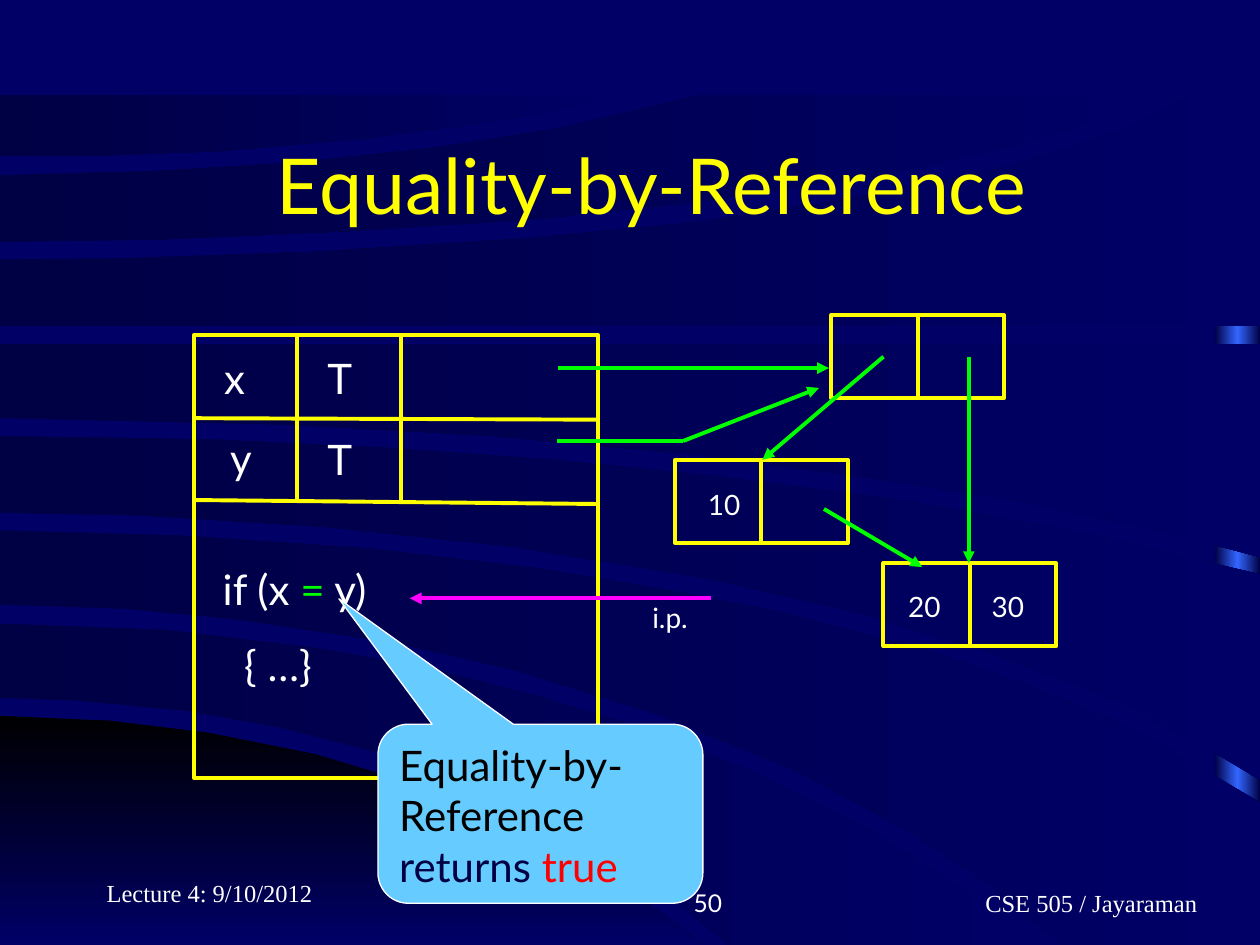
from copy import deepcopy
from dataclasses import dataclass

from lxml import etree
from pptx import Presentation
from pptx.dml.color import RGBColor
from pptx.enum.shapes import MSO_CONNECTOR, MSO_SHAPE
from pptx.enum.text import MSO_ANCHOR, PP_ALIGN
from pptx.oxml.ns import qn
from pptx.util import Cm, Pt

RECT, CALLOUT = MSO_SHAPE.RECTANGLE, MSO_SHAPE.ROUNDED_RECTANGULAR_CALLOUT
STRAIGHT = MSO_CONNECTOR.STRAIGHT
TOP, MIDDLE, BOTTOM = MSO_ANCHOR.TOP, MSO_ANCHOR.MIDDLE, MSO_ANCHOR.BOTTOM
LEFT, CENTER, RIGHT = PP_ALIGN.LEFT, PP_ALIGN.CENTER, PP_ALIGN.RIGHT


@dataclass(frozen=True)
class Theme:
    navy: str = "000066"
    dark: str = "000044"
    black: str = "000000"
    blue: str = "3366FF"
    sky: str = "66CCFF"
    white: str = "FFFFFF"
    yellow: str = "FFFF00"
    green: str = "00FF00"
    magenta: str = "FF00FF"
    red: str = "FF0000"
    sans: str = "Lato"
    serif: str = "Times New Roman"
    title: int = 44
    body: int = 24
    label: int = 16
    footer: int = 14
    stroke: float = 2.25


T = Theme()
rgb = RGBColor.from_string

prs = Presentation()
prs.slide_width, prs.slide_height = Cm(25.4), Cm(19.05)
s = prs.slides.add_slide(prs.slide_layouts[6])
s.background.fill.solid()
s.background.fill.fore_color.rgb = rgb(T.navy)


def write(sp, paras, size, font=T.sans, align=LEFT, anchor=TOP, before=0):
    """Fill a shape with paragraphs, each a list of (text, colour) runs."""
    tf = sp.text_frame
    tf.word_wrap = True
    tf.vertical_anchor = anchor
    for i, runs in enumerate(paras):
        p = tf.add_paragraph() if i else tf.paragraphs[0]
        p.alignment = align
        p.space_before = Pt(before if i else 0)
        for text, color in runs:
            r = p.add_run()
            r.text = text
            r.font.size, r.font.name = Pt(size), font
            r.font.color.rgb = rgb(color)


def add_line(x1, y1, x2, y2, color=T.yellow, arrow=False):
    c = s.shapes.add_connector(STRAIGHT, Cm(x1), Cm(y1), Cm(x2), Cm(y2))
    c.line.color.rgb = rgb(color)
    c.line.width = Pt(T.stroke)
    if arrow:
        etree.SubElement(c.line._get_or_add_ln(), qn("a:tailEnd"), type="triangle")
    etree.SubElement(c._element.spPr, qn("a:effectLst"))


# Background: bright strip at the right edge, dark hill, sweeping bands
strip = [(24.49, 1.96), (25.4, 1.96), (25.4, 19.05), (24.49, 19.05)]
hill = [(0, 14.43), (2.21, 14.53), (4.22, 14.78), (6.35, 15.21), (8.33, 15.8),
        (9.83, 16.38), (11.76, 17.35), (13.44, 18.49), (14.15, 19.05), (0, 19.05)]
bands = [
    [(0, 12.57), (3.33, 12.7), (6.35, 13.06), (8.53, 13.44), (10.9, 14.05),
     (13.11, 14.73), (15.42, 15.67), (17.5, 16.71), (19.48, 17.96), (20.85, 19.05),
     (14.68, 19.05), (13.31, 17.91), (11.56, 16.79), (9.58, 15.85), (7.8, 15.21),
     (5.64, 14.66), (3.78, 14.33), (1.52, 14.12), (0, 14.07)],
    [(0, 10.69), (3.68, 10.8), (7.37, 11.05), (10.85, 11.46), (13.26, 11.86),
     (15.75, 12.34), (18.77, 13.13), (20.8, 13.84), (22.99, 14.76), (25.4, 16.18),
     (25.4, 19.05), (21.41, 19.05), (19.84, 17.75), (18.31, 16.76), (16.18, 15.6),
     (13.26, 14.4), (10.31, 13.49), (7.92, 12.95), (4.67, 12.47), (2.49, 12.27),
     (0, 12.19)],
    [(0, 8.79), (4.29, 8.86), (7.67, 9.02), (11.15, 9.27), (14.4, 9.6),
     (18.16, 10.08), (21.84, 10.74), (25.4, 11.58), (25.4, 15.72), (24.18, 14.99),
     (22.4, 14.07), (19.89, 13.13), (17.37, 12.37), (14.25, 11.66), (10.34, 11.02),
     (6.5, 10.62), (2.79, 10.39), (0, 10.34)],
    [(0, 6.93), (25.4, 6.93), (25.4, 11.23), (23.27, 10.67), (20.68, 10.13),
     (17.86, 9.68), (14.05, 9.17), (9.91, 8.79), (5.82, 8.56), (0, 8.43)],
    [(0, 5.23), (0, 6.58), (25.4, 6.58), (25.4, 1.91), (23.98, 1.91),
     (22.68, 2.62), (20.42, 3.33), (17.4, 3.96), (14.1, 4.47), (10.69, 4.8),
     (6.22, 5.08), (2.39, 5.21)],
    [(0, 3.53), (0, 4.88), (3.23, 4.83), (6.88, 4.67), (10.82, 4.42),
     (13.87, 4.09), (17.37, 3.61), (20.4, 2.95), (22.45, 2.31), (23.32, 1.91),
     (14.15, 1.91), (11.33, 2.57), (8.84, 2.97), (5.94, 3.28), (3.1, 3.45)],
    [(0, 1.91), (0, 3.15), (1.73, 3.15), (4.42, 3.05), (7.37, 2.79),
     (10.19, 2.41), (12.75, 1.91)],
]
backdrop = [(strip, (T.dark, T.blue, T.dark), 0), (hill, (T.black, T.navy), 270)]
backdrop += [(band, (T.dark, T.navy), 0) for band in bands]
for points, colors, angle in backdrop:
    pts = [(Cm(x), Cm(y)) for x, y in points]
    fb = s.shapes.build_freeform(*pts[0])
    fb.add_line_segments(pts[1:], close=True)
    sp = fb.convert_to_shape()
    sp.shadow.inherit = False
    sp.line.fill.background()
    sp.fill.gradient()
    sp.fill.gradient_angle = angle
    stops = sp._element.find(".//" + qn("a:gsLst"))
    for _ in colors[2:]:
        stops.append(deepcopy(stops[0]))
    for i, (stop, color) in enumerate(zip(sp.fill.gradient_stops, colors)):
        stop.color.rgb = rgb(color)
        stop.position = i / (len(colors) - 1)

# Activation frame and the three list cells
cell_w, cell_h = 3.48, 1.68
cells = [(16.76, 6.35), (13.61, 9.27), (17.81, 11.35)]
boxes = [(3.91, 6.76, 8.15, 8.92)] + [(x, y, cell_w, cell_h) for x, y in cells]
for box in boxes:
    sp = s.shapes.add_shape(RECT, *map(Cm, box))
    sp.shadow.inherit = False
    sp.fill.background()
    sp.line.color.rgb = rgb(T.yellow)
    sp.line.width = Pt(T.stroke)
for x, y in cells:
    add_line(x + cell_w / 2, y, x + cell_w / 2, y + cell_h)

# Variable rows and columns inside the frame
add_line(3.91, 8.43, 12.06, 8.46)
add_line(3.91, 10.08, 12.06, 10.16)
for x in (5.99, 8.08):
    add_line(x, 6.76, x, 10.08)

# Variables, code, cell values and the instruction pointer label
code = [[("if (x ", T.white), ("=", T.green), (" y)", T.white)],
        [("  { …}", T.white)]]
labels = [
    (4.27, 6.99, 1.73, 1.27, [[("x", T.white)]], T.body),
    (4.39, 8.59, 1.73, 1.27, [[("y", T.white)]], T.body),
    (6.35, 6.99, 1.73, 1.27, [[("T", T.white)]], T.body),
    (6.35, 8.61, 1.73, 1.27, [[("T", T.white)]], T.body),
    (4.24, 11.23, 7.8, 2.82, code, T.body),
    (14.02, 9.7, 1.75, 0.94, [[("10", T.white)]], T.label),
    (18.06, 11.76, 1.73, 0.94, [[("20", T.white)]], T.label),
    (19.74, 11.76, 1.73, 0.94, [[("30", T.white)]], T.label),
    (12.9, 11.99, 1.47, 0.94, [[("i.p.", T.white)]], T.label),
]
for *box, paras, size in labels:
    write(s.shapes.add_textbox(*map(Cm, box)), paras, size, before=15)

# References and instruction pointer
add_line(11.23, 8.89, 13.77, 8.89, T.green)
for ends in [(17.81, 7.19, 15.37, 9.27), (19.53, 7.19, 19.53, 11.35),
             (16.61, 10.26, 18.59, 11.43), (11.25, 7.42, 16.71, 7.42),
             (13.77, 8.89, 16.51, 7.82)]:
    add_line(*ends, T.green, arrow=True)
add_line(14.33, 12.06, 8.26, 12.06, T.magenta, arrow=True)

# Title
tb = s.shapes.add_textbox(Cm(2.34), Cm(2.11), Cm(21.59), Cm(3.18))
write(tb, [[("Equality-by-Reference", T.yellow)]], T.title, align=CENTER, anchor=MIDDLE)

# Callout
sp = s.shapes.add_shape(CALLOUT, Cm(7.62), Cm(14.6), Cm(6.55), Cm(3.61))
sp.shadow.inherit = False
for i, value in enumerate((-0.62, -1.2, 0.17)):
    sp.adjustments[i] = value
sp.fill.solid()
sp.fill.fore_color.rgb = rgb(T.sky)
sp.line.color.rgb = rgb(T.white)
sp.line.width = Pt(0.75)
write(sp, [[("Equality-by-Reference", T.black)],
           [("returns", T.dark), (" true", T.red)]], T.body)

# Footer
footers = [
    (1.9, 17.15, 5.28, "Lecture 4: 9/10/2012", T.serif, LEFT),
    (9.53, 17.35, 5.28, "50", T.sans, RIGHT),
    (16.71, 17.35, 7.68, "CSE 505 / Jayaraman", T.serif, RIGHT),
]
for x, y, w, text, font, align in footers:
    tb = s.shapes.add_textbox(Cm(x), Cm(y), Cm(w), Cm(1.27))
    write(tb, [[(text, T.white)]], T.footer, font, align, BOTTOM)

prs.save("out.pptx")
